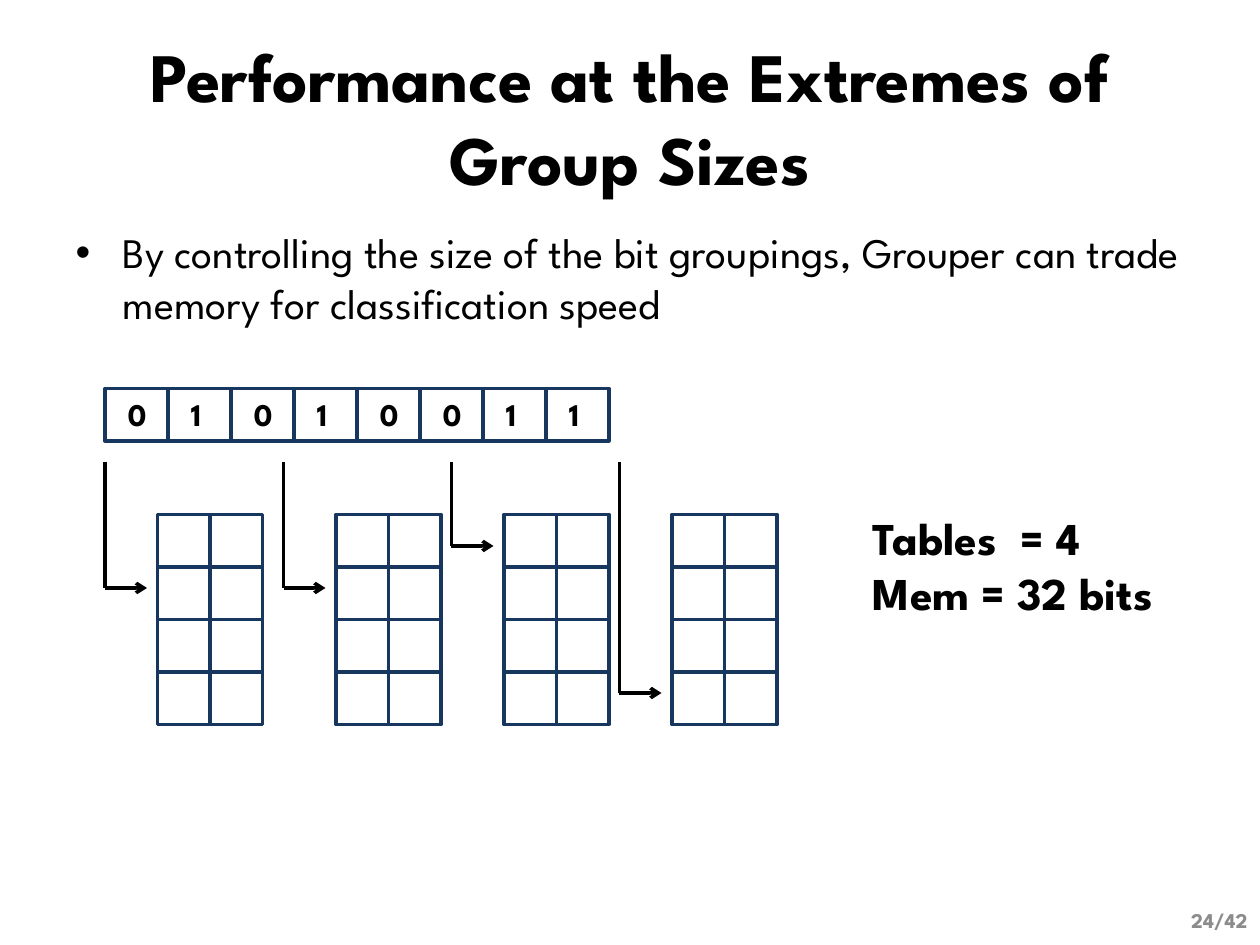
from dataclasses import dataclass

from lxml.etree import SubElement
from pptx import Presentation
from pptx.dml.color import RGBColor
from pptx.enum.shapes import MSO_CONNECTOR, MSO_SHAPE
from pptx.enum.text import MSO_ANCHOR, MSO_AUTO_SIZE, PP_ALIGN
from pptx.oxml.ns import qn
from pptx.util import Inches, Pt


@dataclass(frozen=True)
class Theme:
    font: str = "League Spartan"
    ink: RGBColor = RGBColor(0x00, 0x00, 0x00)
    paper: RGBColor = RGBColor(0xFF, 0xFF, 0xFF)
    outline: RGBColor = RGBColor(0x17, 0x37, 0x5E)
    muted: RGBColor = RGBColor(0x8C, 0x8C, 0x8C)
    title_size: float = 39.6
    body_size: float = 24
    result_size: float = 26
    bit_size: float = 18
    page_size: float = 12
    line_width: float = 2


THEME = Theme()

BITS = "01010011"
BITS_LEFT, BITS_TOP, BIT_WIDTH = 10, 37, 6
CELL = 5
TABLES_TOP, TABLE_ROWS, TABLE_COLUMNS = 49, 4, 2
ARROWS_TOP = 44
# Left edge of each lookup table and height of the arrow into it, in grid units
LOOKUPS = [(15, 56), (32, 56), (48, 52), (64, 66)]


def grid(units):
    """Length on the diagram's grid of twelfths of an inch."""
    return Inches(units / 12)


def place(shape, left, top, width, height):
    shape.left, shape.top = Inches(left), Inches(top)
    shape.width, shape.height = Inches(width), Inches(height)


def write(frame, text, size, bold=True, color=THEME.ink, align=None):
    frame.text = text
    for paragraph in frame.paragraphs:
        if align is not None:
            paragraph.alignment = align
        for run in paragraph.runs:
            run.font.name = THEME.font
            run.font.size = Pt(size)
            run.font.bold = bold
            run.font.color.rgb = color


def fill_placeholder(placeholder, box, text, size, **style):
    place(placeholder, *box)
    placeholder.text_frame.auto_size = MSO_AUTO_SIZE.NONE
    write(placeholder.text_frame, text, size, **style)


def add_label(slide, box, text, size, **style):
    label = slide.shapes.add_textbox(*map(Inches, box))
    label.text_frame.word_wrap = True
    write(label.text_frame, text, size, **style)
    return label


def add_cell(group, left, top, width=CELL):
    cell = group.shapes.add_shape(
        MSO_SHAPE.RECTANGLE, grid(left), grid(top), grid(width), grid(CELL))
    cell.shadow.inherit = False
    cell.fill.solid()
    cell.fill.fore_color.rgb = THEME.paper
    cell.line.color.rgb = THEME.outline
    cell.line.width = Pt(THEME.line_width)


def add_bit(slide, left, digit):
    group = slide.shapes.add_group_shape()
    add_cell(group, left, BITS_TOP, BIT_WIDTH)
    label = group.shapes.add_textbox(
        grid(left + 1), grid(BITS_TOP), Inches(0.38), Inches(0.4))
    label.text_frame.word_wrap = False
    write(label.text_frame, digit, THEME.bit_size)


def add_lookup_table(slide, left):
    group = slide.shapes.add_group_shape()
    for row in range(TABLE_ROWS):
        for column in range(TABLE_COLUMNS):
            add_cell(group, left + column * CELL, TABLES_TOP + row * CELL)


def add_line(group, start, end, arrow=False):
    line = group.shapes.add_connector(
        MSO_CONNECTOR.STRAIGHT, *map(grid, start + end))
    line.line.color.rgb = THEME.ink
    line.line.width = Pt(THEME.line_width)
    if arrow:
        SubElement(line.line._get_or_add_ln(), qn("a:tailEnd"), type="arrow")
    SubElement(line._element.spPr, qn("a:effectLst"))


def add_lookup_arrow(slide, table_left, target):
    """Lead down from the bits, then right to the chosen table entry."""
    group = slide.shapes.add_group_shape()
    corner = (table_left - 5, target)
    add_line(group, (table_left - 5, ARROWS_TOP), corner)
    add_line(group, corner, (table_left - 1, target), arrow=True)


def main():
    deck = Presentation()
    deck.slide_width, deck.slide_height = Inches(10), Inches(7.5)
    slide = deck.slides.add_slide(deck.slide_layouts[1])
    title, body = slide.placeholders

    fill_placeholder(title, (0.5, 0.3, 9, 1.25),
                     "Performance at the Extremes of Group Sizes",
                     THEME.title_size, align=PP_ALIGN.CENTER)
    title.text_frame.vertical_anchor = MSO_ANCHOR.MIDDLE
    fill_placeholder(body, (0.5, 1.75, 9, 1.25),
                     "By controlling the size of the bit groupings, "
                     "Grouper can trade memory for classification speed",
                     THEME.body_size, bold=False)

    for index, digit in enumerate(BITS):
        add_bit(slide, BITS_LEFT + index * BIT_WIDTH, digit)
    for table_left, target in LOOKUPS:
        add_lookup_table(slide, table_left)
        add_lookup_arrow(slide, table_left, target)

    add_label(slide, (6.83, 4, 3.17, 0.98), "Tables  = 4\nMem = 32 bits",
              THEME.result_size)
    page = add_label(slide, (7.67, 7.1, 2.33, 0.4), "24/42", THEME.page_size,
                     color=THEME.muted, align=PP_ALIGN.RIGHT)
    page.text_frame.vertical_anchor = MSO_ANCHOR.MIDDLE

    deck.save("out.pptx")


if __name__ == "__main__":
    main()
